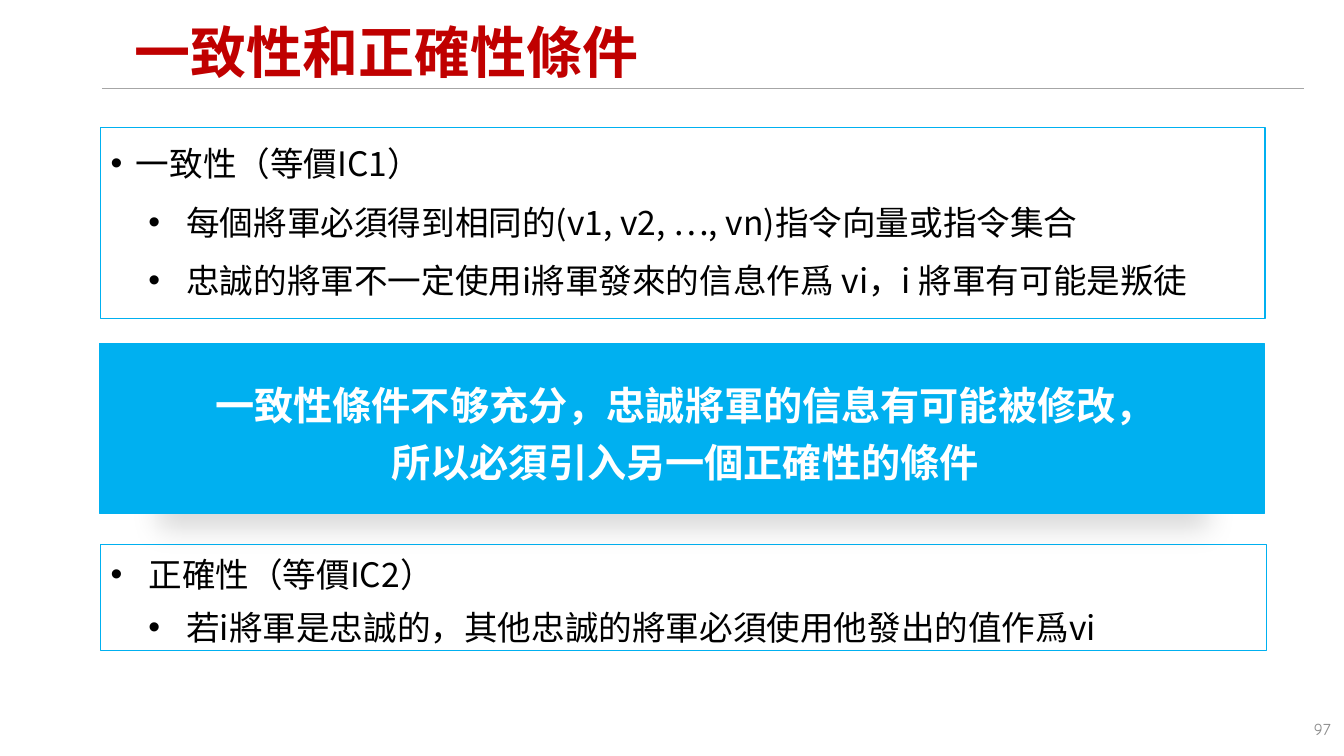
import pptx
import pptx.dml.color
import pptx.enum.shapes
import pptx.enum.text
import pptx.oxml
import pptx.oxml.ns
import pptx.util

Pt = pptx.util.Pt
qn = pptx.oxml.ns.qn
ALIGN = pptx.enum.text.PP_ALIGN
MID = pptx.enum.text.MSO_ANCHOR.MIDDLE
TOP = pptx.enum.text.MSO_ANCHOR.TOP
SANS = "Noto Sans CJK SC"
BLUE = "00B0F0"
NS = 'xmlns:a="http://schemas.openxmlformats.org/drawingml/2006/main"'


def color(code):
    return pptx.dml.color.RGBColor.from_string(code)


def add_xml(parent, text):
    parent.append(pptx.oxml.parse_xml(text))


def write(frame, lines, size=24, font=SANS, hue="000000", bold=False,
          align=ALIGN.LEFT, anchor=TOP, space=None, after=0, marks=None):
    """Fill a frame; marks holds one (left, hang) bullet indent per line."""
    frame.word_wrap = True
    frame.vertical_anchor = anchor
    for i, line in enumerate(lines):
        para = frame.paragraphs[0] if i == 0 else frame.add_paragraph()
        para.alignment = align
        para.line_spacing = space
        para.space_after = Pt(after)
        if marks:
            left, hang = marks[i]
            para.level = min(i, 1)
            props = para._p.get_or_add_pPr()
            props.set("marL", str(Pt(left)))
            props.set("indent", str(-Pt(hang)))
            add_xml(props, f'<a:buFont {NS} typeface="Arial"/>')
            add_xml(props, f'<a:buChar {NS} char="•"/>')
        run = para.add_run()
        run.text = line
        run.font.size = Pt(size)
        run.font.bold = bold
        run.font.name = font
        run.font.color.rgb = color(hue)
        add_xml(run._r.get_or_add_rPr(), f'<a:ea {NS} typeface="{font}"/>')


def add_text(slide, place, lines, **form):
    box = slide.shapes.add_textbox(*map(Pt, place))
    write(box.text_frame, lines, **form)


def add_rule(slide, left, right, top):
    kind = pptx.enum.shapes.MSO_CONNECTOR.STRAIGHT
    rule = slide.shapes.add_connector(kind, Pt(left), Pt(top), Pt(right), Pt(top))
    rule.line.color.rgb = color("A6A6A6")
    rule.line.width = Pt(1)
    add_xml(rule._element.spPr, f"<a:effectLst {NS}/>")


def add_box(slide, place, lines, width=0.75, fill=None, **form):
    kind = pptx.enum.shapes.MSO_SHAPE.RECTANGLE
    box = slide.shapes.add_shape(kind, *map(Pt, place))
    box.shadow.inherit = False
    box.line.color.rgb = color(BLUE)
    box.line.width = Pt(width)
    if fill:
        box.fill.solid()
        box.fill.fore_color.rgb = color(fill)
    else:
        box.fill.background()
    write(box.text_frame, lines, **form)
    return box


def add_shade(box):
    """Soft shadow under a box, narrower than the box itself."""
    effects = box._element.spPr.find(qn("a:effectLst"))
    add_xml(effects, f'<a:outerShdw {NS} blurRad="{Pt(20)}" dist="{Pt(10)}" '
            'dir="5400000" sx="90000" sy="90000" algn="b" rotWithShape="0">'
            '<a:srgbClr val="000000"><a:alpha val="15000"/></a:srgbClr>'
            '</a:outerShdw>')


def main():
    deck = pptx.Presentation()
    deck.slide_width, deck.slide_height = Pt(960), Pt(540)
    slide = deck.slides.add_slide(deck.slide_layouts[6])

    # Heading
    add_rule(slide, 72.7, 931.7, 63.4)
    add_text(slide, (89.3, 10.8, 805, 56.9), ["一致性和正確性條件"], size=40,
             hue="C00000", bold=True, anchor=MID, space=0.9)

    # Two conditions
    add_box(slide, (72, 91.1, 831.6, 136.1),
            ["一致性（等價IC1）",
             "每個將軍必須得到相同的(v1, v2, …, vn)指令向量或指令集合",
             "忠誠的將軍不一定使用i將軍發來的信息作爲 vi，i 將軍有可能是叛徒"],
            space=Pt(36), after=6, marks=[(18, 18), (54, 27), (54, 27)])
    add_box(slide, (72, 388.8, 833, 75.6),
            ["正確性（等價IC2）",
             "若i將軍是忠誠的，其他忠誠的將軍必須使用他發出的值作爲vi"],
            space=Pt(32), after=6, marks=[(27, 27), (54, 27)])

    # Key message
    note = add_box(slide, (71.3, 245.5, 831.6, 121),
                   ["一致性條件不够充分，忠誠將軍的信息有可能被修改，",
                    "所以必須引入另一個正確性的條件"],
                   width=0.5, fill=BLUE, size=28, hue="FFFFFF", bold=True,
                   align=ALIGN.CENTER, anchor=MID, space=1.2)
    frame = note.text_frame
    frame.margin_left, frame.margin_right = Pt(11.5), Pt(7.2)
    frame.margin_top = frame.margin_bottom = Pt(8.6)
    add_shade(note)

    # Page number
    add_text(slide, (733.7, 509.8, 223.9, 28.8), ["97"], size=12,
             font="Comic Neue", hue="8C8C8C", align=ALIGN.RIGHT)

    deck.save("out.pptx")


if __name__ == "__main__":
    main()
